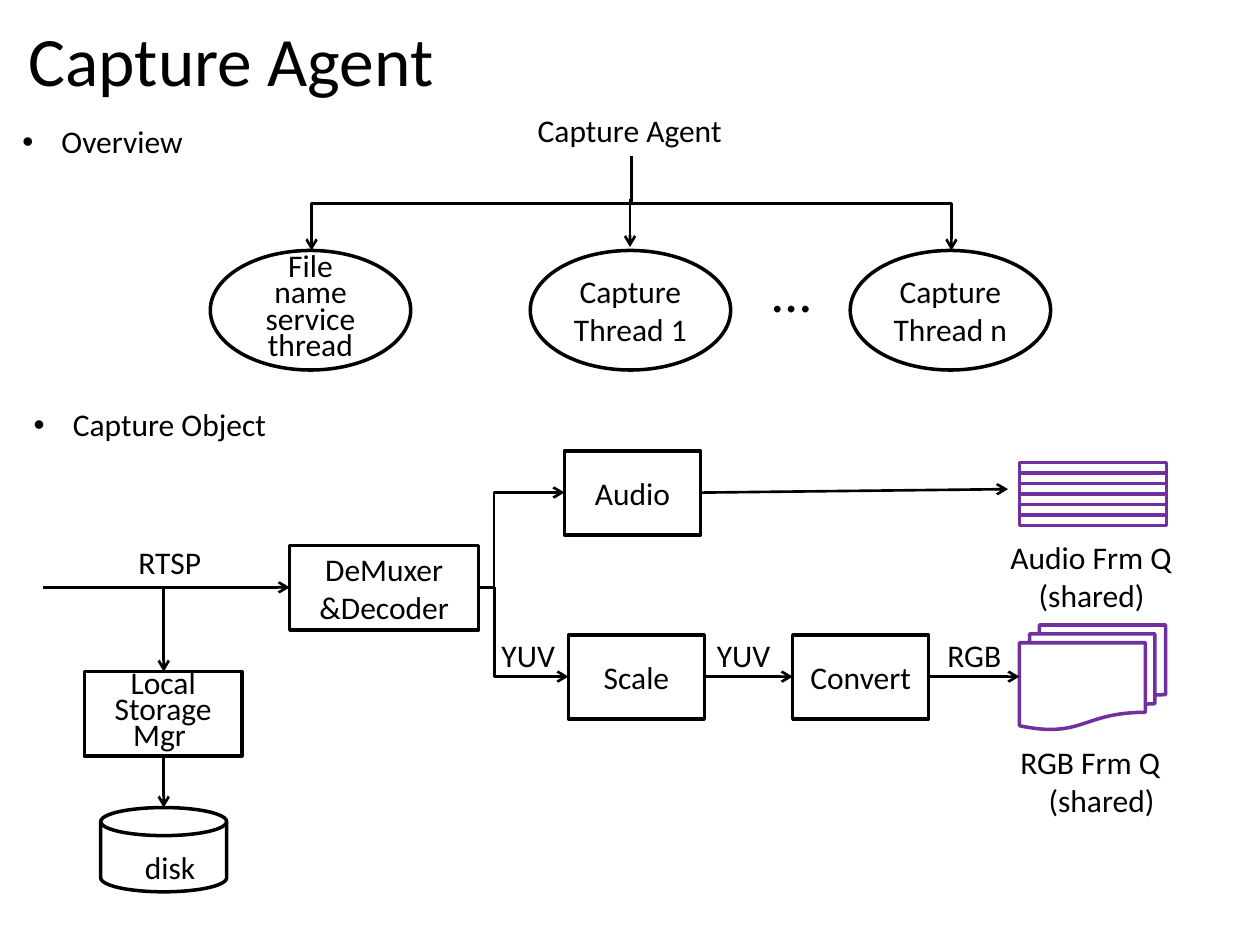
import pptx
import pptx.util
import pptx.dml.color
import pptx.enum.shapes
import pptx.enum.text
import pptx.oxml

Cm = pptx.util.Cm
Pt = pptx.util.Pt
KIND = pptx.enum.shapes.MSO_SHAPE
LINK = pptx.enum.shapes.MSO_CONNECTOR
ALIGN = pptx.enum.text.PP_ALIGN
ANCHOR = pptx.enum.text.MSO_ANCHOR
FIT = pptx.enum.text.MSO_AUTO_SIZE
NAMESPACE = 'xmlns:a="http://schemas.openxmlformats.org/drawingml/2006/main"'
BLACK, PURPLE = "000000", "7030A0"

TITLE = ("Capture Agent", 0.33, 0.2, 22.86, 1.98)
BULLETS = [("Overview", 0.2, 2.34, 3.78), ("Capture Object", 0.43, 8.05, 5.26)]
LABELS = [
    ("YUV", 9.86, 12.7, 1.6, 18),
    ("YUV", 14.2, 12.7, 1.6, 18),
    ("RGB", 18.85, 12.7, 1.6, 18),
    ("Capture Agent", 10.59, 2.11, 4.27, 18),
    ("…", 15.32, 5.05, 1.3, 32),
    ("RTSP", 2.54, 10.82, 1.78, 18),
    ("disk", 2.67, 16.97, 1.55, 18),
]
QUEUES = [("RGB Frm Q", 20.32, 14.86, 3.35), ("Audio Frm Q", 20.12, 10.72, 3.81)]
BOXES = [
    ("DeMuxer &Decoder", 5.84, 11, 3.81, None),
    ("Audio", 11.38, 9.09, 2.74, None),
    ("Local\nStorage Mgr ", 1.7, 13.54, 3.18, 15),
    ("Scale", 11.46, 12.8, 2.74, None),
    ("Convert", 15.98, 12.8, 2.74, None),
]
THREADS = [("File name service thread", 15), ("Capture Thread 1", None), ("Capture Thread n", None)]
THREAD_LEFT, THREAD_STEP, THREAD_TOP = 4.24, 6.45, 5.05
BOX_HEIGHT = 1.7
STRIPES, STRIPE_TOP, STRIPE_HEIGHT = 6, 9.32, 0.212
ARROWS = [
    (14.2, 13.64, 15.98, 13.64),
    (18.75, 13.64, 20.55, 13.64),
    (0.86, 11.84, 5.84, 11.84),
    (3.3, 11.84, 3.3, 13.54),
    (3.3, 15.24, 3.3, 16.28),
    (14.15, 9.93, 20.32, 9.86),
    (12.7, 4.01, 12.7, 4.98),
]
BRANCHES = [(9.65, 11.84, 11.38, 9.93), (9.65, 11.84, 11.46, 13.64)]
AGENT_X, AGENT_Y = 12.73, 3.15


def color(value):
    return pptx.dml.color.RGBColor.from_string(value)


def style(para, size):
    para.font.name = "Calibri"
    para.font.size = Pt(size)
    para.font.color.rgb = color(BLACK)


def add_text(text, left, top, width, height, size=18, wrap=False):
    box = page.shapes.add_textbox(Cm(left), Cm(top), Cm(width), Cm(height))
    frame = box.text_frame
    frame.word_wrap = wrap
    frame.auto_size = FIT.NONE if wrap else FIT.SHAPE_TO_FIT_TEXT
    frame.text = text
    for para in frame.paragraphs:
        style(para, size)
    return frame


def add_outline(kind, left, top, width, height, line=BLACK, text="", spacing=None):
    shape = page.shapes.add_shape(kind, Cm(left), Cm(top), Cm(width), Cm(height))
    shape.shadow.inherit = False
    shape.fill.background()
    shape.line.color.rgb = color(line)
    shape.line.width = Pt(2)
    if text:
        frame = shape.text_frame
        frame.word_wrap = True
        frame.vertical_anchor = ANCHOR.MIDDLE
        frame.text = text
        for para in frame.paragraphs:
            style(para, 18)
            para.alignment = ALIGN.CENTER
            if spacing:
                para.line_spacing = Pt(spacing)


def add_arrow(kind, *ends):
    arrow = page.shapes.add_connector(kind, *[Cm(end) for end in ends])
    arrow.line.color.rgb = color(BLACK)
    arrow.line.width = Pt(1.5)
    properties = arrow._element.spPr
    properties.ln.append(pptx.oxml.parse_xml(f'<a:tailEnd {NAMESPACE} type="arrow"/>'))
    properties.append(pptx.oxml.parse_xml(f"<a:effectLst {NAMESPACE}/>"))
    return properties


deck = pptx.Presentation()
deck.slide_width, deck.slide_height = Cm(25.4), Cm(19.05)
page = deck.slides.add_slide(deck.slide_layouts[6])

add_text(*TITLE, size=39.6, wrap=True).vertical_anchor = ANCHOR.MIDDLE

for text, left, top, width, spacing in BOXES:
    add_outline(KIND.RECTANGLE, left, top, width, BOX_HEIGHT, text=text, spacing=spacing)

for index, (text, spacing) in enumerate(THREADS):
    left = THREAD_LEFT + index * THREAD_STEP
    add_outline(KIND.OVAL, left, THREAD_TOP, 4.04, 2.41, text=text, spacing=spacing)

add_outline(KIND.FLOWCHART_MULTIDOCUMENT, 20.55, 12.6, 2.95, 2.11, PURPLE)
add_outline(KIND.FLOWCHART_MAGNETIC_DISK, 2.03, 16.28, 2.54, BOX_HEIGHT)
for index in range(STRIPES):
    top = STRIPE_TOP + index * STRIPE_HEIGHT
    add_outline(KIND.RECTANGLE, 20.55, top, 2.97, STRIPE_HEIGHT, PURPLE)

for ends in ARROWS:
    add_arrow(LINK.STRAIGHT, *ends)

for ends in BRANCHES:
    geometry = add_arrow(LINK.ELBOW, *ends).prstGeom
    for guides in geometry.findall(pptx.oxml.ns.qn("a:avLst")):
        geometry.remove(guides)
    geometry.append(pptx.oxml.parse_xml(
        f'<a:avLst {NAMESPACE}><a:gd name="adj1" fmla="val 18000"/></a:avLst>'))

for side, turn in ((-1, 90), (1, 270)):
    half_drop = (THREAD_TOP - AGENT_Y) / 2
    middle_x, middle_y = AGENT_X + side * THREAD_STEP / 2, AGENT_Y + half_drop
    properties = add_arrow(
        LINK.ELBOW,
        middle_x + side * half_drop, middle_y - THREAD_STEP / 2,
        middle_x - side * half_drop, middle_y + THREAD_STEP / 2)
    properties.xfrm.set("rot", str(turn * 60000))

for text, left, top, width, size in LABELS:
    add_text(text, left, top, width, 1.63 if size > 18 else 1.02, size)

for text, left, top, width in QUEUES:
    frame = add_text(f"{text}\n(shared)", left, top, width, 1.8)
    frame.paragraphs[1]._p.get_or_add_pPr().set("marL", str(Cm(0.57)))

for text, left, top, width in BULLETS:
    settings = add_text(text, left, top, width, 1.02).paragraphs[0]._p.get_or_add_pPr()
    settings.set("marL", str(Cm(0.79)))
    settings.set("indent", str(-Cm(0.79)))
    bullet = pptx.oxml.parse_xml(f'<a:buChar {NAMESPACE} char="•"/>')
    font = pptx.oxml.parse_xml(f'<a:buFont {NAMESPACE} typeface="Arial"/>')
    settings.insert(0, font)
    settings.insert(1, bullet)

deck.save("out.pptx")
